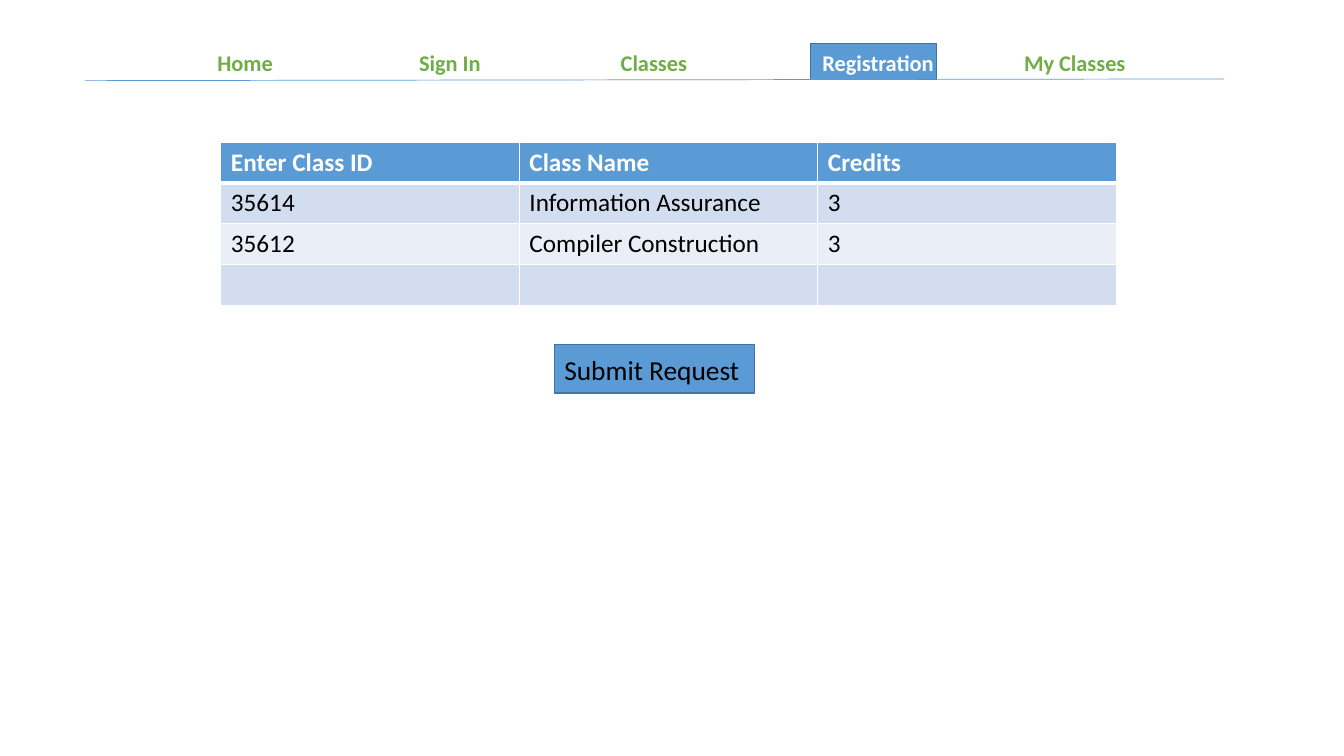
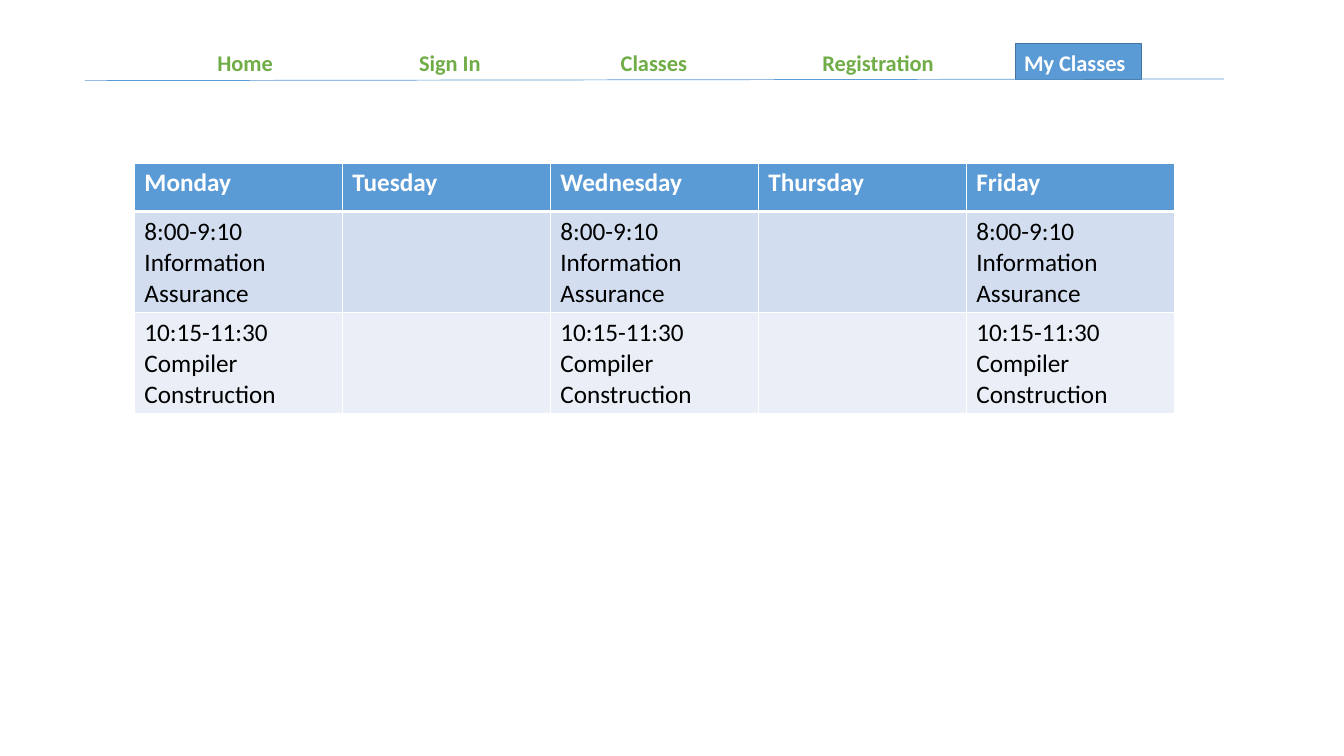
from dataclasses import dataclass

from lxml import etree
from pptx import Presentation
from pptx.dml.color import RGBColor
from pptx.enum.shapes import MSO_CONNECTOR, MSO_SHAPE
from pptx.enum.text import MSO_ANCHOR
from pptx.oxml.ns import qn
from pptx.slide import Slide
from pptx.util import Emu, Inches, Pt

RECT = MSO_SHAPE.RECTANGLE
STRAIGHT = MSO_CONNECTOR.STRAIGHT
TOP, MIDDLE = MSO_ANCHOR.TOP, MSO_ANCHOR.MIDDLE

BLUE = RGBColor(0x5B, 0x9B, 0xD5)
DARK_BLUE = RGBColor(0x43, 0x73, 0x9E)
GREEN = RGBColor(0x70, 0xAD, 0x47)
WHITE = RGBColor(0xFF, 0xFF, 0xFF)
BLACK = RGBColor(0x00, 0x00, 0x00)
BANDS = (RGBColor(0xD2, 0xDE, 0xEF), RGBColor(0xEA, 0xEF, 0xF7))
FONT = "Calibri"

WIDTH, HEIGHT = Inches(13.33), Inches(7.5)
COLUMNS, ROWS = 160, 90


@dataclass(frozen=True)
class Box:
    left: float
    top: float
    width: float
    height: float

    def place(self) -> tuple[Emu, Emu, Emu, Emu]:
        return col(self.left), row(self.top), col(self.width), row(self.height)


@dataclass(frozen=True)
class NavItem:
    label: str
    tabs: int


@dataclass(frozen=True)
class Grid:
    left: float
    top: float
    width: float
    row_heights: tuple[float, ...]
    cells: tuple[tuple[str, ...], ...]


NAV = (
    NavItem("Home", 2),
    NavItem("Sign In", 2),
    NavItem("Classes", 2),
    NavItem("Registration", 1),
    NavItem("My Classes", 0),
)
NAV_TEXT = Box(24.7, 2.6, 135.3, 10)
NAV_MARK = Box(23.3, 5.2, 15, 4.3)
NAV_PITCH = 24.4
NAV_STOPS = 8

BUTTON = Box(66, 41, 23.8, 5.8)
BUTTON_TEXT = Box(66, 42.5, 23.8, 7.3)

REQUESTS = Grid(26.3, 16.9, 106.6, (4.87,) * 4, (
    ("Enter Class ID", "Class Name", "Credits"),
    ("35614", "Information Assurance", "3"),
    ("35612", "Compiler Construction", "3"),
    ("", "", ""),
))
ASSURANCE = "8:00-9:10 Information Assurance"
COMPILER = "10:15-11:30\nCompiler Construction"
SCHEDULE = Grid(16, 19.4, 123.8, (5.8, 12, 12), (
    ("Monday", "Tuesday", "Wednesday", "Thursday", "Friday"),
    (ASSURANCE, "", ASSURANCE, "", ASSURANCE),
    (COMPILER, "", COMPILER, "", COMPILER),
))


def col(n: float) -> Emu:
    return Emu(round(WIDTH * n / COLUMNS))


def row(n: float) -> Emu:
    return Emu(round(HEIGHT * n / ROWS))


def set_font(p, size: float, color: RGBColor | None = None, bold: bool = False) -> None:
    p.font.name, p.font.size, p.font.bold = FONT, Pt(size), bold
    if color is not None:
        p.font.color.rgb = color


def add_panel(s: Slide, box: Box) -> None:
    sp = s.shapes.add_shape(RECT, *box.place())
    sp.shadow.inherit = False
    sp.fill.solid()
    sp.fill.fore_color.rgb = BLUE
    sp.line.color.rgb = DARK_BLUE
    sp.line.width = Pt(1)


def add_text_box(s: Slide, box: Box, anchor: MSO_ANCHOR, spacing: float):
    tf = s.shapes.add_textbox(*box.place()).text_frame
    tf.word_wrap = True
    tf.vertical_anchor = anchor
    p = tf.paragraphs[0]
    p.line_spacing = spacing
    return p


def add_tab_stops(p, count: int) -> None:
    tabs = etree.SubElement(p._p.get_or_add_pPr(), qn("a:tabLst"))
    for n in range(1, count + 1):
        etree.SubElement(tabs, qn("a:tab"), pos=str(Inches(n)), algn="l")


def add_nav(s: Slide, active: str) -> None:
    index = [item.label for item in NAV].index(active)
    add_panel(s, Box(NAV_MARK.left + index * NAV_PITCH, NAV_MARK.top,
                     NAV_MARK.width, NAV_MARK.height))
    rule = s.shapes.add_connector(STRAIGHT, col(10.1), row(9.6), col(145.7), row(9.4))
    rule.line.color.rgb = BLUE
    rule.line.width = Pt(0.5)
    etree.SubElement(rule._element.spPr, qn("a:effectLst"))

    p = add_text_box(s, NAV_TEXT, MIDDLE, 0.9)
    add_tab_stops(p, NAV_STOPS)
    set_font(p, 16, bold=True)
    for item in NAV:
        r = p.add_run()
        r.text = item.label + "\t" * item.tabs
        r.font.color.rgb = WHITE if item.label == active else GREEN


def add_border(cell, side: str, width: float) -> None:
    line = etree.SubElement(cell._tc.get_or_add_tcPr(), qn(f"a:ln{side}"), w=str(Pt(width)))
    fill = etree.SubElement(line, qn("a:solidFill"))
    etree.SubElement(fill, qn("a:srgbClr"), val=str(WHITE))


def style_cell(cell, text: str, i: int) -> None:
    header = i == 0
    for side, width in (("L", 1), ("R", 1), ("T", 3 if i == 1 else 1), ("B", 3 if header else 1)):
        add_border(cell, side, width)
    cell.fill.solid()
    cell.fill.fore_color.rgb = BLUE if header else BANDS[(i - 1) % 2]
    cell.text_frame.text = text
    for p in cell.text_frame.paragraphs:
        set_font(p, 18, WHITE if header else BLACK, header)


def add_grid(s: Slide, grid: Grid) -> None:
    count = len(grid.cells[0])
    box = Box(grid.left, grid.top, grid.width, sum(grid.row_heights))
    table = s.shapes.add_table(len(grid.cells), count, *box.place()).table
    for column in table.columns:
        column.width = col(grid.width / count)
    for i, (texts, height) in enumerate(zip(grid.cells, grid.row_heights)):
        table.rows[i].height = row(height)
        for j, text in enumerate(texts):
            style_cell(table.cell(i, j), text, i)


def add_button(s: Slide, label: str) -> None:
    add_panel(s, BUTTON)
    p = add_text_box(s, BUTTON_TEXT, TOP, 0.7)
    p.space_before = Pt(10)
    p.text = label
    set_font(p, 19.6, BLACK)


def add_page(prs, active: str, grid: Grid) -> Slide:
    s = prs.slides.add_slide(prs.slide_layouts[6])
    add_nav(s, active)
    add_grid(s, grid)
    return s


prs = Presentation()
prs.slide_width, prs.slide_height = WIDTH, HEIGHT
registration = add_page(prs, "Registration", REQUESTS)
add_button(registration, "Submit Request")
add_page(prs, "My Classes", SCHEDULE)
prs.save("out.pptx")
